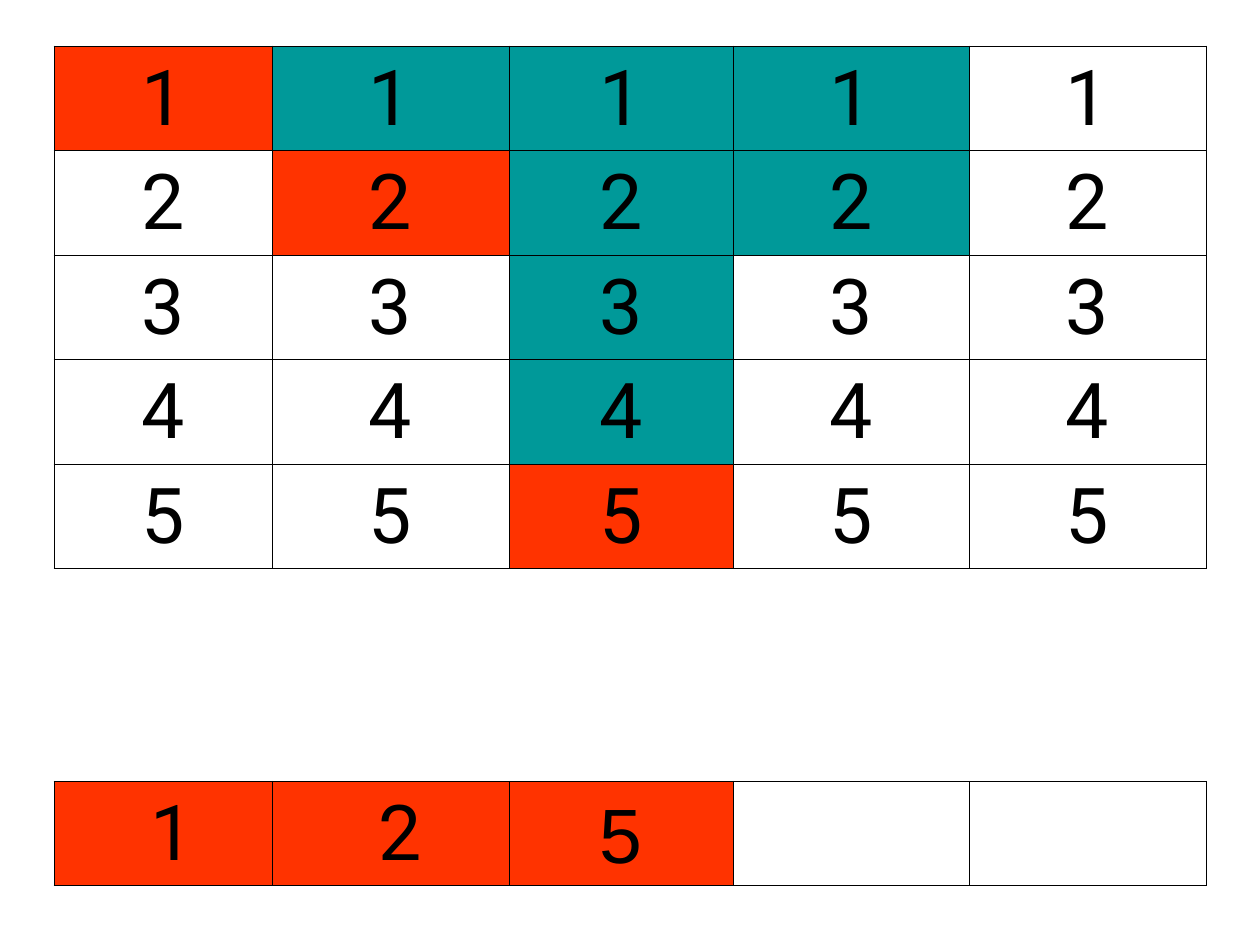
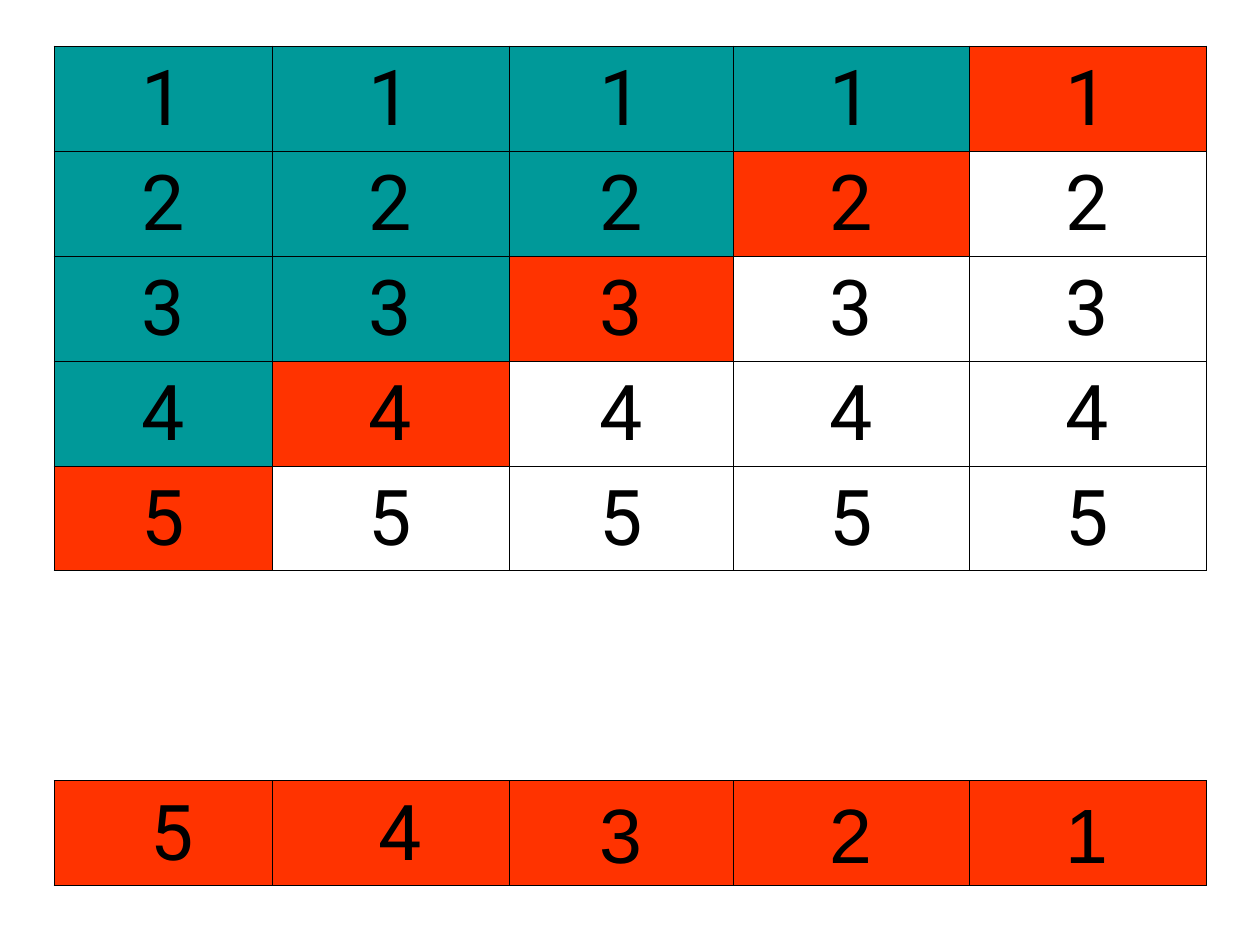
"""Build two slides of number grids with the picked cells listed in a row below."""
from lxml import etree
from pptx import Presentation
from pptx import util as u
from pptx.dml.color import RGBColor
from pptx.enum import text
from pptx.oxml import ns

PX = u.Inches(1) / 252
LEFT, TOP = 108, 92
COLUMN_WIDTHS = [436, 474, 448, 472, 474]
GRID_ROWS = 5
GAP_ROW = GRID_ROWS
PICK_ROW = GRID_ROWS + 1
LINE = "000000"
INK = "000000"
PICKED, PASSED, FREE = "FF3300", "009999", "FFFFFF"
FILLS = {"P": PICKED, "x": PASSED, ".": FREE}
GRID_FONT, PICK_FONT = "Roboto", "Arial"


def px(length):
    """Turn whole px into EMU."""
    return u.Emu(round(length * PX))


def color(value):
    """Turn a hex string into a colour."""
    return RGBColor.from_string(value)


def set_borders(cell, drawn_sides):
    """Draw thin lines on the given sides of a cell and clear the others."""
    properties = cell._tc.get_or_add_tcPr()
    for side in "LRTB":
        line = etree.SubElement(properties, ns.qn(f"a:ln{side}"), w=str(u.Pt(0.45)))
        if side in drawn_sides:
            solid = etree.SubElement(line, ns.qn("a:solidFill"))
            etree.SubElement(solid, ns.qn("a:srgbClr"), val=LINE)
        else:
            etree.SubElement(line, ns.qn("a:noFill"))


def fill_cell(cell, fill):
    """Give a cell its fill and a full border."""
    set_borders(cell, "LRTB")
    cell.fill.solid()
    cell.fill.fore_color.rgb = color(fill)


def write_number(cell, number, font_name):
    """Write a large centred number at the bottom of a cell."""
    cell.vertical_anchor = text.MSO_ANCHOR.BOTTOM
    paragraph = cell.text_frame.paragraphs[0]
    paragraph.text = number
    paragraph.alignment = text.PP_ALIGN.CENTER
    font = paragraph.runs[0].font
    font.name = font_name
    font.size = u.Pt(44)
    font.color.rgb = color(INK)


def add_grid(slide, row_height, gap_height):
    """Add an unstyled table with an open gap row above the last row."""
    heights = [row_height] * GRID_ROWS + [gap_height, row_height]
    table = slide.shapes.add_table(
        len(heights), len(COLUMN_WIDTHS), px(LEFT), px(TOP),
        px(sum(COLUMN_WIDTHS)), px(sum(heights))).table
    table.first_row = table.horz_banding = False
    for column, width in zip(table.columns, COLUMN_WIDTHS):
        column.width = px(width)
    for row, height in zip(table.rows, heights):
        row.height = px(height)
    for cell in table.rows[GAP_ROW].cells:
        set_borders(cell, "TB")
        cell.fill.background()
    return table


def add_search_slide(presentation, pattern, picks, row_height, gap_height):
    """Add a slide with the coloured grid and its row of picked numbers."""
    slide = presentation.slides.add_slide(presentation.slide_layouts[6])
    table = add_grid(slide, row_height, gap_height)
    for row, marks in enumerate(pattern):
        for column, mark in enumerate(marks):
            cell = table.cell(row, column)
            fill_cell(cell, FILLS[mark])
            write_number(cell, str(row + 1), GRID_FONT)
    for column, cell in enumerate(table.rows[PICK_ROW].cells):
        fill_cell(cell, PICKED if column < len(picks) else FREE)
        if column < len(picks):
            write_number(cell, picks[column], GRID_FONT if column < 2 else PICK_FONT)


def main():
    """Build and save the presentation."""
    presentation = Presentation()
    presentation.slide_width, presentation.slide_height = px(2520), px(1890)
    add_search_slide(
        presentation, ["Pxxx.", ".Pxx.", "..x..", "..x..", "..P.."],
        [" 1", " 2", "5"], 209, 426)
    add_search_slide(
        presentation, ["xxxxP", "xxxP.", "xxP..", "xP...", "P...."],
        [" 5", " 4", "3", "2", "1"], 210, 420)
    presentation.save("out.pptx")


if __name__ == "__main__":
    main()
